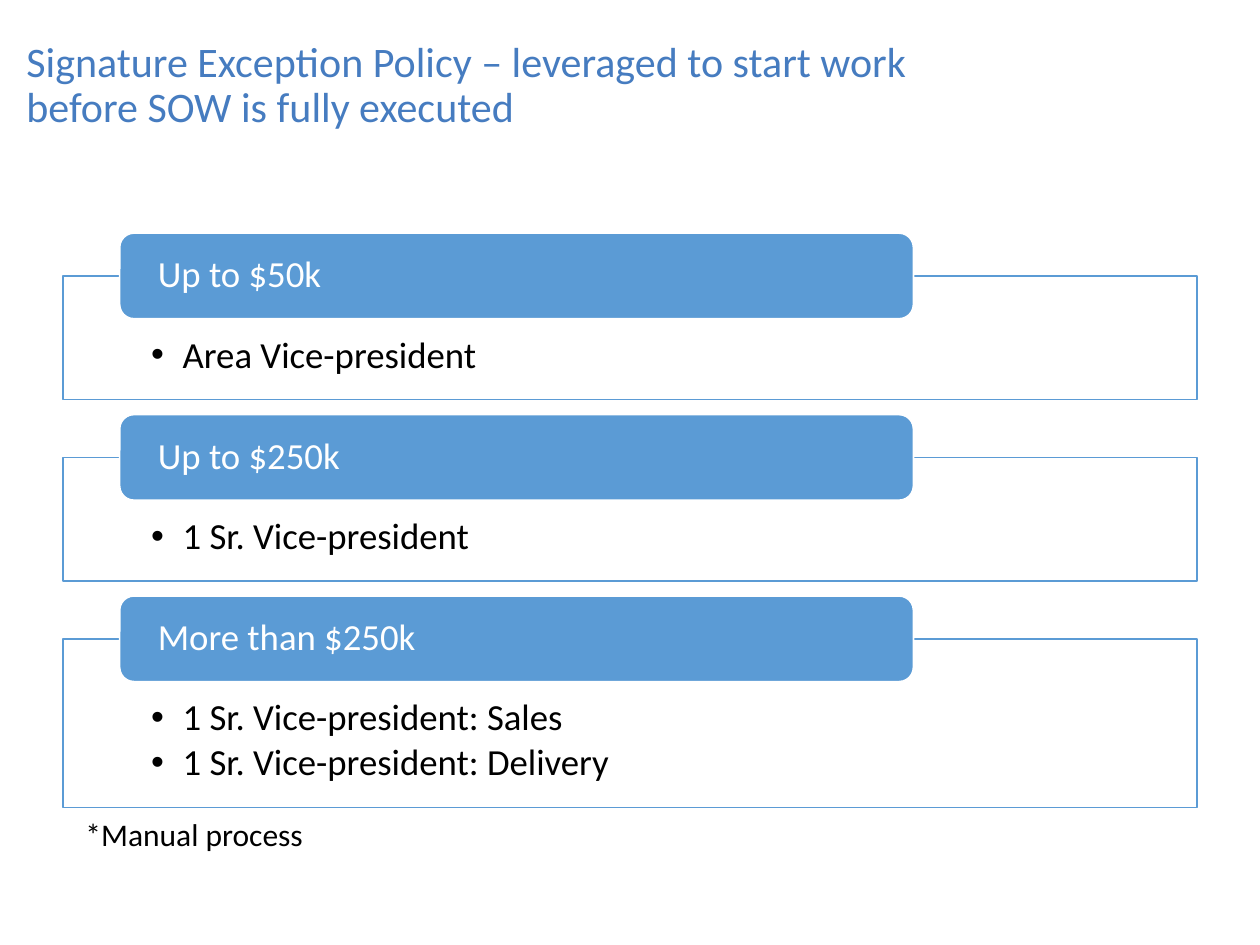
"""Build the signature exception policy slide with its three approval tiers."""
from lxml import etree
from pptx import Presentation
from pptx.dml.color import RGBColor
from pptx.enum.shapes import MSO_SHAPE
from pptx.enum.text import MSO_ANCHOR, MSO_AUTO_SIZE, PP_ALIGN
from pptx.oxml.ns import qn
from pptx.util import Inches, Pt

RECTANGLE, ROUNDED = MSO_SHAPE.RECTANGLE, MSO_SHAPE.ROUNDED_RECTANGLE
TOP, MIDDLE = MSO_ANCHOR.TOP, MSO_ANCHOR.MIDDLE
LEFT = PP_ALIGN.LEFT
NO_FIT, GROW = MSO_AUTO_SIZE.NONE, MSO_AUTO_SIZE.SHAPE_TO_FIT_TEXT
COLORS = {"title": "467CC0", "blue": "5B9BD5", "white": "FFFFFF", "black": "000000"}
TIERS = [
    ("Up to $50k", ["Area Vice-president"], 0.98),
    ("Up to $250k", ["1 Sr. Vice-president"], 0.98),
    ("More than $250k", ["1 Sr. Vice-president: Sales", "1 Sr. Vice-president: Delivery"], 1.34),
]
FIRST_TOP, TIER_PITCH, BOX_OFFSET = 1.85, 1.44, 0.34


def write_text(shape, lines, size=21, color="black", anchor=MIDDLE, insets=(0.1, 0.05, 0.1, 0.05),
               spacing=0.9, after=0, bullet=False, wrap=True, fit=NO_FIT):
    frame = shape.text_frame
    frame.word_wrap, frame.auto_size, frame.vertical_anchor = wrap, fit, anchor
    frame.margin_left, frame.margin_top, frame.margin_right, frame.margin_bottom = map(Inches, insets)
    frame.text = "\n".join(lines)
    for paragraph in frame.paragraphs:
        paragraph.alignment = LEFT
        paragraph.line_spacing = spacing
        paragraph.space_before, paragraph.space_after = Pt(0), Pt(after)
        font = paragraph.runs[0].font
        font.name, font.size = "Calibri", Pt(size)
        font.color.rgb = RGBColor.from_string(COLORS[color])
        if bullet:
            paragraph.level = 1
            properties = paragraph._p.get_or_add_pPr()
            properties.set("marL", str(Inches(0.25)))
            properties.set("indent", str(-Inches(0.25)))
            etree.SubElement(properties, qn("a:buFont")).set("typeface", "Arial")
            etree.SubElement(properties, qn("a:buChar")).set("char", "•")


def add_box(kind, left, top, width, height, fill, line):
    shape = slide.shapes.add_shape(kind, Inches(left), Inches(top), Inches(width), Inches(height))
    shape.shadow.inherit = False
    shape.fill.solid()
    shape.fill.fore_color.rgb = RGBColor.from_string(COLORS[fill])
    shape.line.color.rgb = RGBColor.from_string(COLORS[line])
    shape.line.width = Pt(1)
    return shape


presentation = Presentation()
presentation.slide_width, presentation.slide_height = Inches(10), Inches(7.5)
slide = presentation.slides.add_slide(presentation.slide_layouts[5])

title = slide.shapes.title
title.left, title.top, title.width, title.height = map(Inches, (0.11, 0.25, 7.28, 0.87))
write_text(title, ["Signature Exception Policy – leveraged to start work before SOW is fully executed"],
           size=24, color="title")

for index, (limit, approvers, height) in enumerate(TIERS):
    top = FIRST_TOP + index * TIER_PITCH
    approver_box = add_box(RECTANGLE, 0.5, top + BOX_OFFSET, 9, height, "white", "blue")
    white = approver_box.fill._xPr.find(".//" + qn("a:srgbClr"))
    etree.SubElement(white, qn("a:alpha")).set("val", "90000")
    write_text(approver_box, approvers, anchor=TOP, insets=(0.7, 0.48, 0.7, 0.16), after=3, bullet=True)
    limit_box = add_box(ROUNDED, 0.95, top, 6.3, 0.68, "blue", "white")
    write_text(limit_box, [limit], color="white", insets=(0.27, 0, 0.27, 0))

footnote = slide.shapes.add_textbox(Inches(0.58), Inches(6.42), Inches(1.95), Inches(0.4))
write_text(footnote, ["*Manual process"], size=18, anchor=TOP, spacing=1.0, wrap=False, fit=GROW)

presentation.save("out.pptx")
